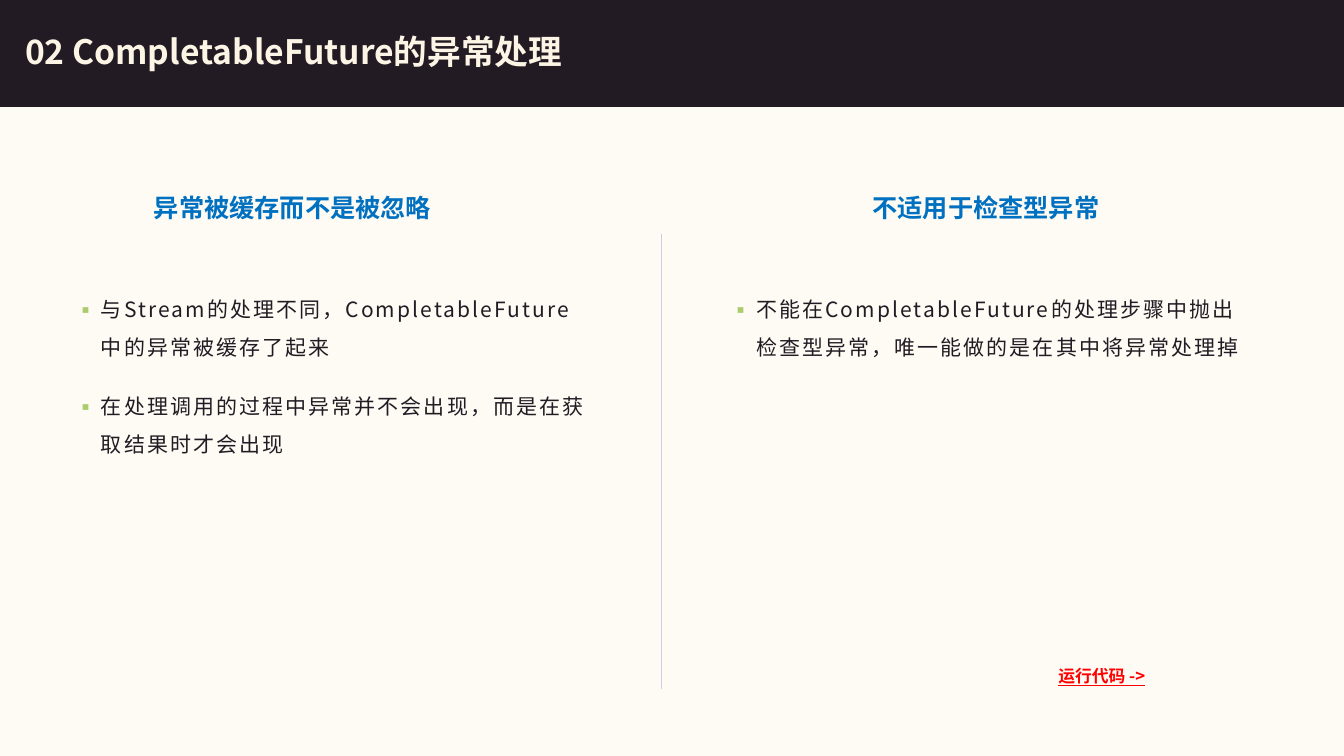
"""Build the slide on exception handling in CompletableFuture."""
import pptx
import pptx.dml.color
import pptx.enum.shapes
import pptx.enum.text
import pptx.oxml
import pptx.oxml.ns
import pptx.util

Cm = pptx.util.Cm
Pt = pptx.util.Pt
Align = pptx.enum.text.PP_ALIGN
Anchor = pptx.enum.text.MSO_ANCHOR
AutoSize = pptx.enum.text.MSO_AUTO_SIZE
NAMESPACE = pptx.oxml.ns.nsdecls("a")

COLUMNS = [
    {
        "heading": "异常被缓存而不是被忽略",
        "heading_area": (3.61, 4.72, 7.52, 1.02),
        "list_area": (1.65, 7.04, 13.51, 10.49),
        "points": [
            "与Stream的处理不同，CompletableFuture中的异常被缓存了起来",
            "在处理调用的过程中异常并不会出现，而是在获取结果时才会出现",
        ],
    },
    {
        "heading": "不适用于检查型异常",
        "heading_area": (21.72, 4.72, 6.25, 1.02),
        "list_area": (18.16, 7.04, 13.51, 10.49),
        "points": [
            "不能在CompletableFuture的处理步骤中抛出检查型异常，唯一能做的是在其中将异常处理掉",
        ],
    },
]


def colour(value):
    """Turn a hex string into a colour."""
    return pptx.dml.color.RGBColor.from_string(value)


def add_xml(parent, markup):
    """Append one drawing element, given without its namespace."""
    name, rest = markup.split(" ", 1)
    parent.append(pptx.oxml.parse_xml(f"<a:{name} {NAMESPACE} {rest}"))


def set_values(target, values):
    """Set each named format value on the target."""
    for name, value in values.items():
        setattr(target, name, value)


class SlideBuilder:
    """Hold the style and the current slide."""

    dark, cream, paper = "231B23", "FCF5E5", "FEFBF5"
    blue, red, green, rule = "0070C0", "FF0000", "AACC6D", "CCCFE2"
    strong_font, list_font = "Noto Sans CJK JP", "Noto Sans CJK SC"

    def __init__(self, deck):
        """Add a two-content page with a plain background."""
        self.page = deck.slides.add_slide(deck.slide_layouts[3])
        background = self.page.background.fill
        background.solid()
        background.fore_color.rgb = colour(self.paper)

    def place(self, box, area):
        """Move a box to left, top, width and height in centimetres."""
        set_values(box, dict(zip(("left", "top", "width", "height"), map(Cm, area))))

    def add_span(self, para, text, tint, font, **values):
        """Add one formatted span to a paragraph."""
        span = para.add_run()
        span.text = text
        set_values(span.font, {"name": font, **values})
        span.font.color.rgb = colour(tint)
        properties = span._r.get_or_add_rPr()
        add_xml(properties, f'ea typeface="{font}"/>')
        return properties

    def add_banner(self, area):
        """Put the dark banner behind the title."""
        kind = pptx.enum.shapes.MSO_SHAPE.RECTANGLE
        banner = self.page.shapes.add_shape(kind, *map(Cm, area))
        banner.shadow.inherit = False
        banner.fill.solid()
        banner.fill.fore_color.rgb = colour(self.dark)
        banner.line.color.rgb = colour(self.dark)
        banner.line.width = Pt(1)
        self.page.shapes.title.element.addprevious(banner.element)

    def add_title(self, text, area):
        """Fill the title placeholder."""
        box = self.page.shapes.title
        self.place(box, area)
        set_values(box.text_frame, {
            "vertical_anchor": Anchor.MIDDLE, "word_wrap": True,
            "auto_size": AutoSize.NONE,
        })
        para = box.text_frame.paragraphs[0]
        para.alignment = Align.LEFT
        self.add_span(para, text, self.cream, self.strong_font, size=Pt(24), bold=True)

    def add_list(self, index, points, area):
        """Fill a body placeholder with bullet points."""
        box = self.page.placeholders[index]
        self.place(box, area)
        frame = box.text_frame
        set_values(frame, {
            "vertical_anchor": Anchor.TOP, "word_wrap": True,
            "auto_size": AutoSize.NONE,
        })
        for number, point in enumerate(points):
            para = frame.add_paragraph() if number else frame.paragraphs[0]
            set_values(para, {
                "line_spacing": 1.5, "space_before": Pt(15),
                "space_after": Pt(0), "alignment": Align.LEFT,
            })
            properties = para._p.get_or_add_pPr()
            properties.set("marL", str(Cm(0.64)))
            properties.set("indent", str(Cm(-0.64)))
            add_xml(properties, f'buClr ><a:srgbClr val="{self.green}"/></a:buClr>')
            add_xml(properties, f'buFont typeface="{self.list_font}"/>')
            add_xml(properties, 'buChar char="▪"/>')
            span = self.add_span(para, point, self.dark, self.list_font, size=Pt(15))
            span.set("spc", "150")

    def add_label(self, text, area, tint, alignment, wrap, **values):
        """Add one bold line of text."""
        box = self.page.shapes.add_textbox(*map(Cm, area))
        set_values(box.text_frame, {
            "word_wrap": wrap, "auto_size": AutoSize.SHAPE_TO_FIT_TEXT,
        })
        para = box.text_frame.paragraphs[0]
        para.alignment = alignment
        self.add_span(para, text, tint, self.strong_font, bold=True, **values)

    def add_divider(self, left, top, bottom):
        """Add the thin vertical rule between the columns."""
        kind = pptx.enum.shapes.MSO_CONNECTOR.STRAIGHT
        divider = self.page.shapes.add_connector(
            kind, Cm(left), Cm(top), Cm(left), Cm(bottom))
        divider.line.color.rgb = colour(self.rule)
        divider.line.width = Pt(0.5)
        add_xml(divider.element.spPr, "effectLst />")


def main():
    """Build and save the deck."""
    deck = pptx.Presentation()
    set_values(deck, {"slide_width": Cm(33.87), "slide_height": Cm(19.05)})
    builder = SlideBuilder(deck)
    builder.add_banner((0, 0, 33.87, 2.67))
    builder.add_title("02 CompletableFuture的异常处理", (0.38, 0.53, 17.37, 1.5))
    for index, column in enumerate(COLUMNS, start=1):
        builder.add_list(index, column["points"], column["list_area"])
        builder.add_label(column["heading"], column["heading_area"], builder.blue,
                          Align.CENTER, False, size=Pt(18))
    builder.add_divider(16.66, 5.89, 17.37)
    builder.add_label("运行代码 ->", (26.42, 16.66, 2.95, 0.76), builder.red,
                      Align.LEFT, True, size=Pt(12), underline=True)
    deck.save("out.pptx")


if __name__ == "__main__":
    main()
